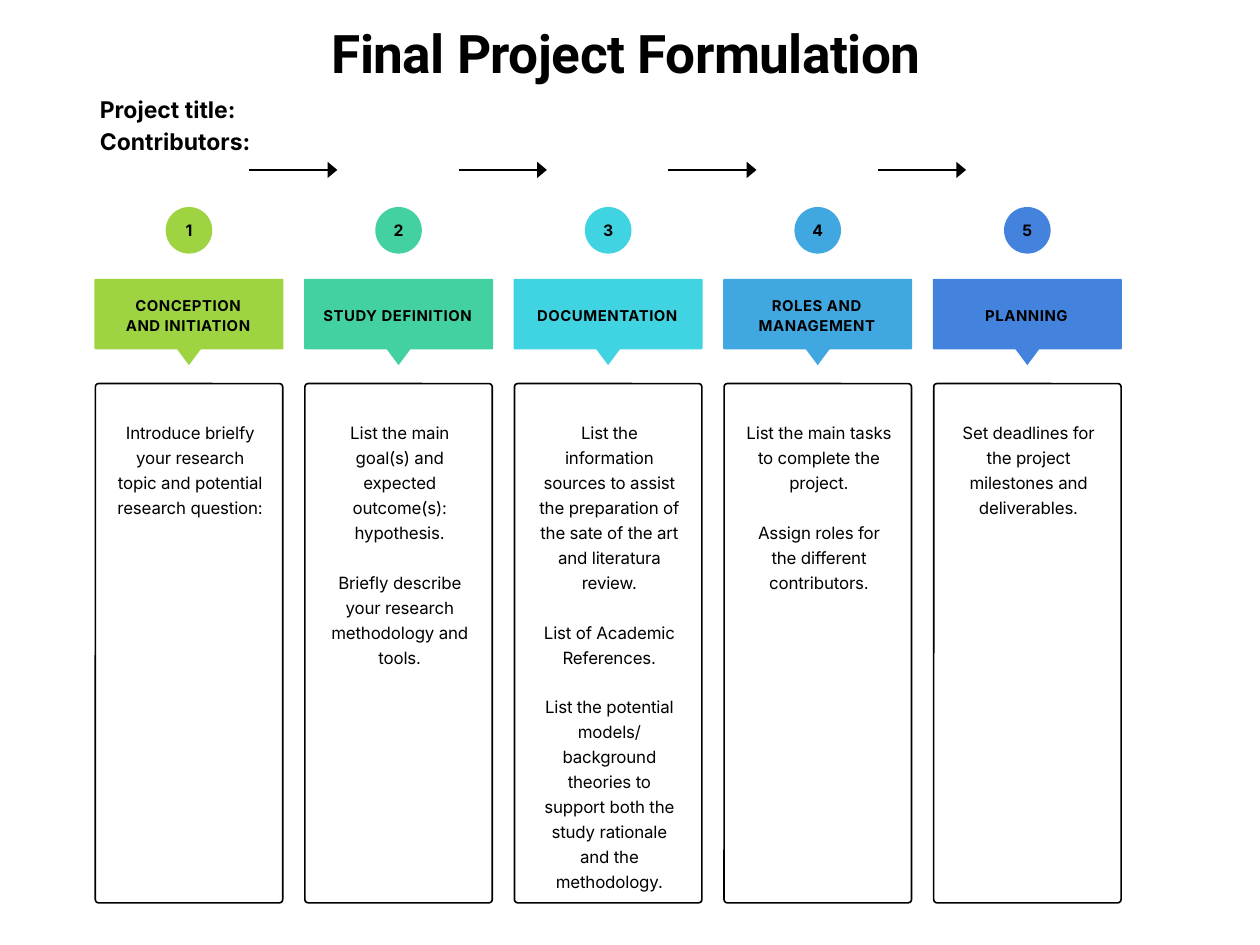
from dataclasses import dataclass

from lxml.etree import SubElement
from pptx import Presentation
from pptx.dml.color import RGBColor
from pptx.enum.shapes import MSO_CONNECTOR, MSO_SHAPE
from pptx.enum.text import MSO_ANCHOR, PP_ALIGN
from pptx.oxml.ns import qn
from pptx.util import Pt


@dataclass(frozen=True)
class Theme:
    ink: RGBColor = RGBColor.from_string("000000")
    paper: RGBColor = RGBColor.from_string("FFFFFF")
    title_font: str = "Roboto"
    font: str = "Inter"
    title: float = 32.4
    details: float = 14
    body: float = 10.3
    number: float = 9.6
    heading: float = 9.1


THEME = Theme()

STEPS = [
    ("9ED442", ["CONCEPTION", "AND INITIATION"],
     ["Introduce brielfy your research topic and potential research question:"]),
    ("43D1A1", ["STUDY DEFINITION"],
     ["List the main goal(s) and expected outcome(s): hypothesis.",
      "Briefly describe your research methodology and tools."]),
    ("40D4E2", ["DOCUMENTATION"],
     ["List the information sources to assist the preparation of the sate of the art "
      "and literatura review.",
      "List of Academic References.",
      "List the potential models/ background theories to support both the study "
      "rationale and the methodology."]),
    ("40A7E1", ["ROLES AND MANAGEMENT"],
     ["List the main tasks to complete the project.",
      "Assign roles for the different contributors."]),
    ("4383DD", ["PLANNING"],
     ["Set deadlines for the project milestones and deliverables."]),
]

LEFT, PITCH, WIDTH = 57.6, 127.75, 115.2
CORNER = 2

prs = Presentation()
prs.slide_width, prs.slide_height = Pt(768), Pt(576)
s = prs.slides.add_slide(prs.slide_layouts[6])


def add_shape(kind, x, y, w, h, fill):
    sp = s.shapes.add_shape(kind, Pt(x), Pt(y), Pt(w), Pt(h))
    sp.shadow.inherit = False
    sp.fill.solid()
    sp.fill.fore_color.rgb = fill
    sp.line.fill.background()
    if kind == MSO_SHAPE.ROUNDED_RECTANGLE:
        sp.adjustments[0] = CORNER / w
    return sp


def write(sp, lines, size, leading, font=THEME.font, bold=True, align=PP_ALIGN.CENTER,
          anchor=MSO_ANCHOR.MIDDLE, insets=(0, 0, 0, 0), tracking=0, gap=0):
    """Fill a shape with paragraphs; insets run left, top, right, bottom."""
    tf = sp.text_frame
    tf.word_wrap = True
    tf.vertical_anchor = anchor
    tf.margin_left, tf.margin_top, tf.margin_right, tf.margin_bottom = map(Pt, insets)
    for i, line in enumerate(lines):
        p = tf.add_paragraph() if i else tf.paragraphs[0]
        p.text = line
        p.alignment = align
        p.line_spacing = Pt(leading)
        p.space_before = Pt(gap if i else 0)
        p.font.name, p.font.size, p.font.bold = font, Pt(size), bold
        p.font.color.rgb = THEME.ink
        if tracking:
            p.font._element.set("spc", str(round(tracking * 100)))


title = s.shapes.add_textbox(Pt(151.9), Pt(5.8), Pt(459.4), Pt(44))
write(title, ["Final Project Formulation"], THEME.title, 45.4, font=THEME.title_font,
      anchor=MSO_ANCHOR.TOP, tracking=-0.3)

details = s.shapes.add_textbox(Pt(60.8), Pt(55.4), Pt(649.4), Pt(38.2))
write(details, ["Project title:", "Contributors:"], THEME.details, 19.6,
      align=PP_ALIGN.LEFT, anchor=MSO_ANCHOR.TOP)

for i, (color, heading, body) in enumerate(STEPS):
    x = LEFT + i * PITCH
    center = x + WIDTH / 2
    fill = RGBColor.from_string(color)

    card = add_shape(MSO_SHAPE.ROUNDED_RECTANGLE, x + 0.5, 233.8, WIDTH - 1, 316.5, THEME.paper)
    card.line.color.rgb = THEME.ink
    card.line.width = Pt(1)
    write(card, body, THEME.body, 15.2, bold=False, anchor=MSO_ANCHOR.TOP,
          insets=(12.6, 20.5, 11.1, 0), tracking=-0.1, gap=15.2)

    header = add_shape(MSO_SHAPE.ROUNDED_RECTANGLE, x, 169.9, WIDTH, 43, fill)
    write(header, heading, THEME.heading, 12.7, insets=(11, 0, 12, 0), tracking=0.3)
    add_shape(MSO_SHAPE.FLOWCHART_MERGE, center - 7.6, 212.4, 15.2, 10.2, fill)

    badge = add_shape(MSO_SHAPE.OVAL, center - 14.2, 126.2, 28.4, 28.4, fill)
    write(badge, [str(i + 1)], THEME.number, 11.6)

    if i < len(STEPS) - 1:
        arrow = s.shapes.add_connector(MSO_CONNECTOR.STRAIGHT, Pt(x + 94.3), Pt(103.6),
                                       Pt(x + 148), Pt(103.6))
        arrow.line.color.rgb = THEME.ink
        arrow.line.width = Pt(0.75)
        SubElement(arrow.line._get_or_add_ln(), qn("a:tailEnd"), type="triangle", w="lg", len="med")
        SubElement(arrow._element.spPr, qn("a:effectLst"))

prs.save("out.pptx")
